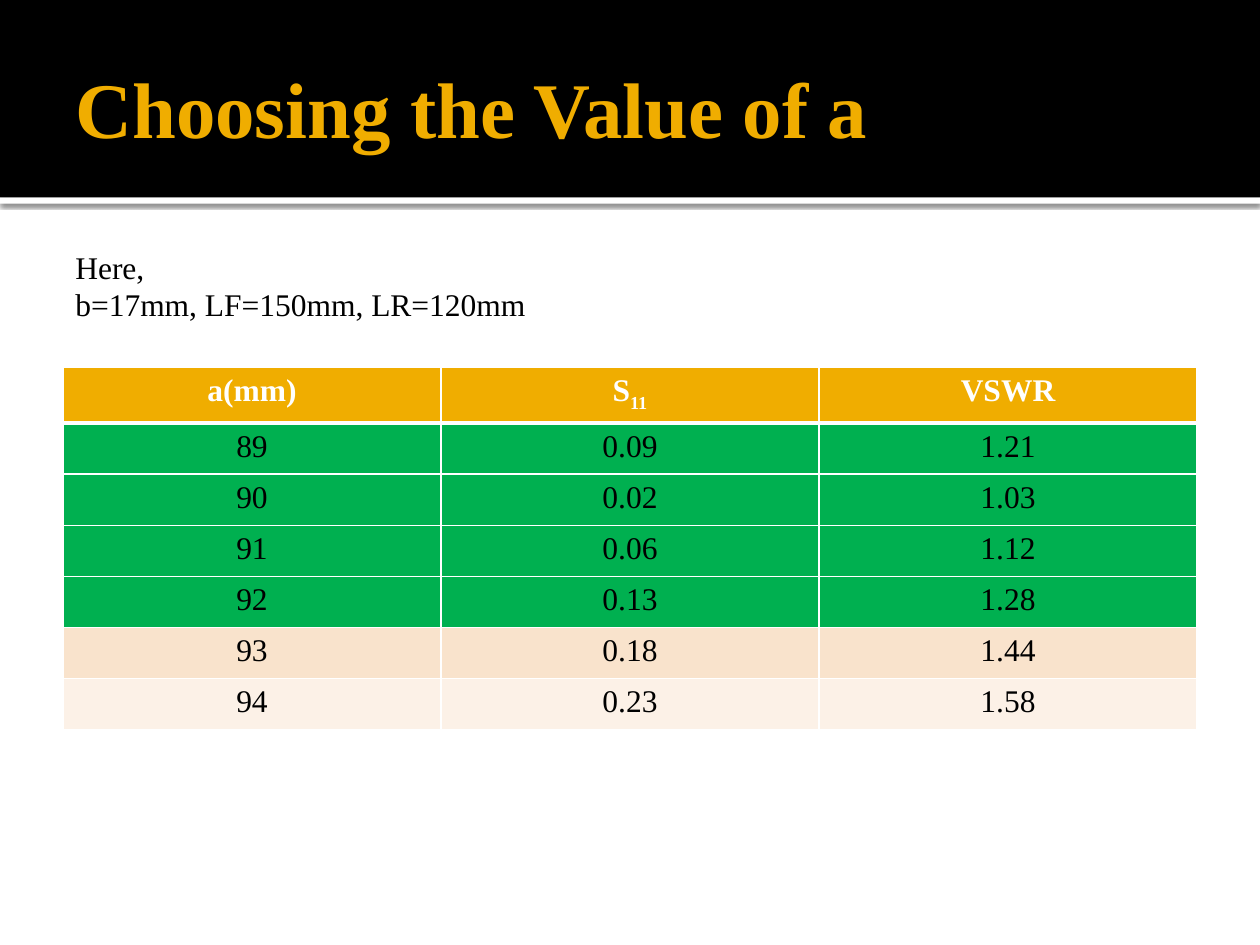
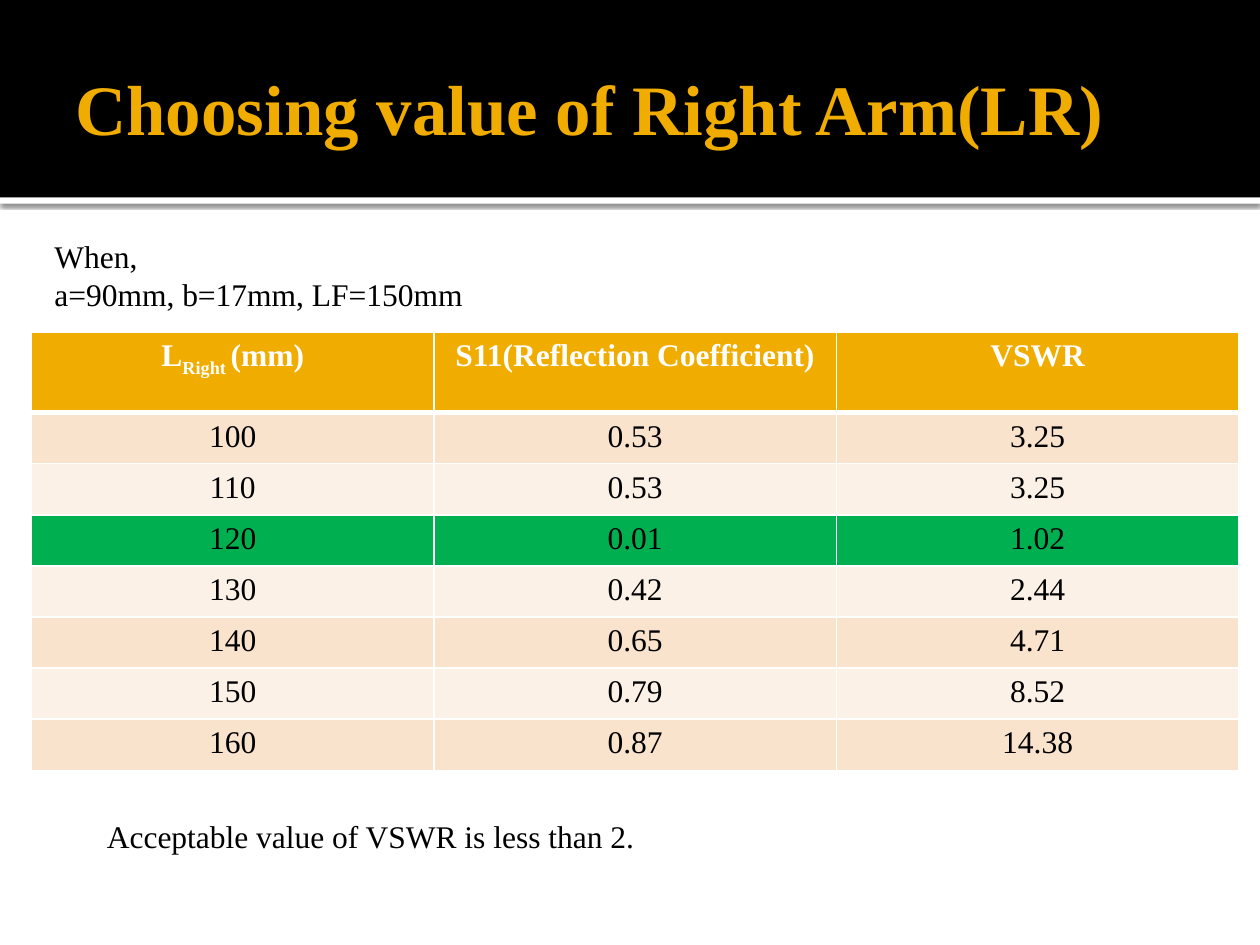
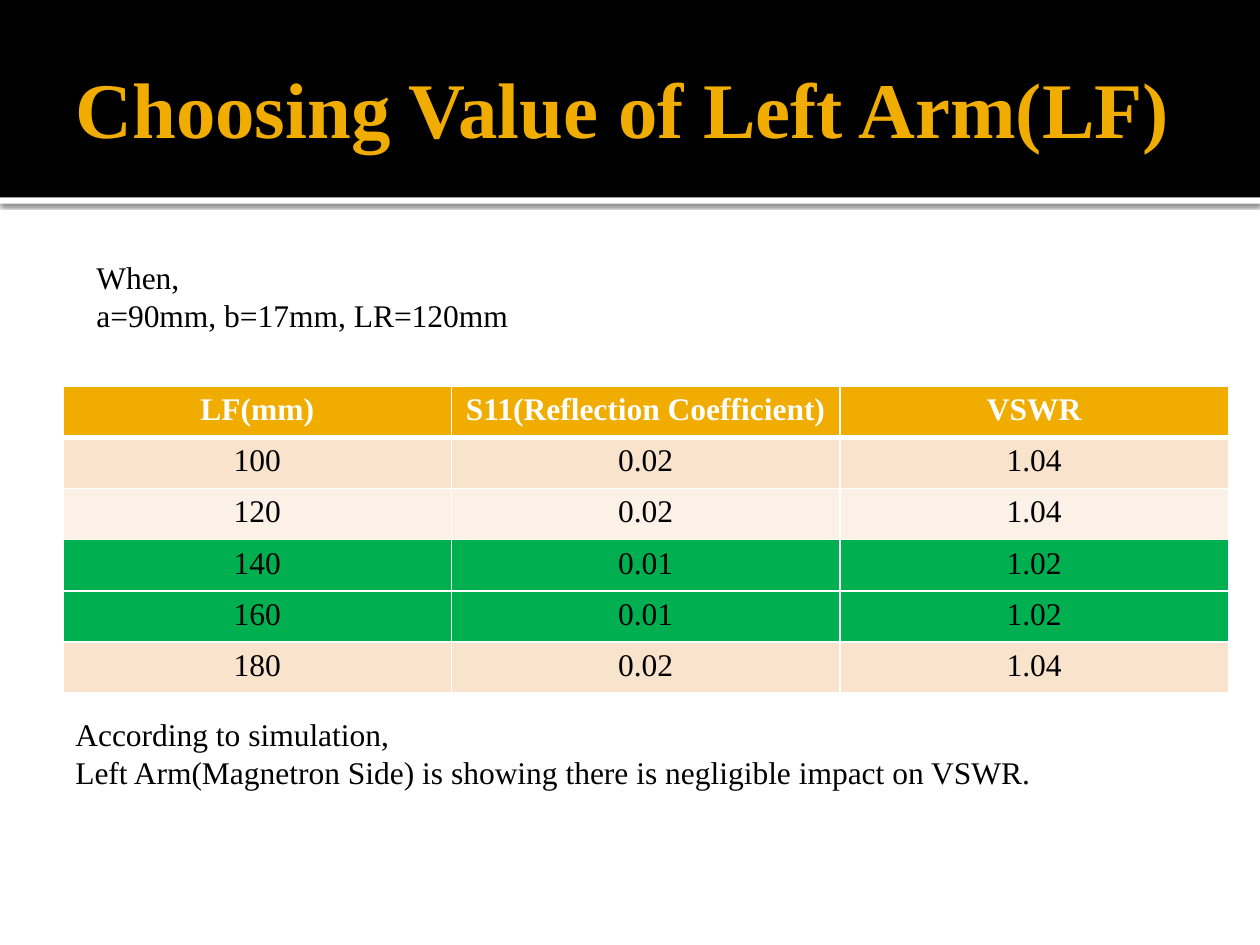
from lxml import etree
from pptx import Presentation
from pptx import util as u
from pptx.dml.color import RGBColor
from pptx.enum import shapes, text
from pptx.oxml import ns

BLACK = RGBColor(0x00, 0x00, 0x00)
WHITE = RGBColor(0xFF, 0xFF, 0xFF)
GOLD = RGBColor(0xF0, 0xAD, 0x00)
GREEN = RGBColor(0x00, 0xB0, 0x50)
PEACH = RGBColor(0xF9, 0xE3, 0xCC)
CREAM = RGBColor(0xFC, 0xF1, 0xE7)

FONT = "Times New Roman"
WIDE, HIGH = 120, 90  # slide size in grid units
ROW = 4.87            # height of a table row
BAND = 18.8           # height of the title band


def grid(num):
    """Length of a number of grid units, twelve to the inch."""
    return u.Pt(6 * num)


def style(run, size, color, bold=False):
    font = run.font
    font.name, font.size, font.bold = FONT, u.Pt(size), bold
    font.color.rgb = color


def add_xml(host, tag, **attrs):
    return etree.SubElement(host, ns.qn(tag), attrs)


# Shared frame: title band, white strip with its shadow, title
def add_bar(slide, top, high, color):
    bar = slide.shapes.add_shape(
        shapes.MSO_SHAPE.RECTANGLE, 0, grid(top), grid(WIDE), grid(high))
    bar.shadow.inherit = False
    bar.fill.solid()
    bar.fill.fore_color.rgb = color
    bar.line.fill.background()
    return bar


def add_shade(shape):
    effect = shape.element.spPr.find(ns.qn("a:effectLst"))
    shade = add_xml(effect, "a:outerShdw", blurRad=str(u.Pt(2.5)),
                    dist=str(u.Pt(0.8)), dir="5400000", rotWithShape="0")
    tone = add_xml(shade, "a:srgbClr", val=str(BLACK))
    add_xml(tone, "a:alpha", val="60000")


def add_text(slide, left, top, wide, high, lines, size=18, color=BLACK,
             bold=False):
    box = slide.shapes.add_textbox(*map(grid, (left, top, wide, high)))
    frame = box.text_frame
    frame.word_wrap = True
    frame.text = "\n".join(lines)
    for para in frame.paragraphs:
        for run in para.runs:
            style(run, size, color, bold)
    return frame


def add_page(deck, title, size=45):
    slide = deck.slides.add_slide(deck.slide_layouts[6])
    add_shade(add_bar(slide, BAND, 0.6, WHITE))
    add_bar(slide, 0, BAND, BLACK)
    frame = add_text(slide, 6, 2, 108, 16.4, [title], size, GOLD, True)
    frame.vertical_anchor = text.MSO_ANCHOR.MIDDLE
    frame.margin_right = u.Inches(0.05)
    return slide


# Tables
def add_edges(cell, top, bottom):
    props = cell._tc.get_or_add_tcPr()
    for side, width in zip("LRTB", (1, 1, top, bottom)):
        edge = add_xml(props, f"a:ln{side}", w=str(u.Pt(width)))
        fill = add_xml(edge, "a:solidFill")
        add_xml(fill, "a:srgbClr", val=str(WHITE))


def fill_cell(cell, parts, fill, color, bold, top=1, bottom=1):
    """Write the parts in turn; every second one is a subscript."""
    add_edges(cell, top, bottom)
    cell.fill.solid()
    cell.fill.fore_color.rgb = fill
    para = cell.text_frame.paragraphs[0]
    para.alignment = text.PP_ALIGN.CENTER
    for i, part in enumerate(parts):
        run = para.add_run()
        run.text = part
        style(run, 18, color, bold)
        if i % 2:
            run._r.get_or_add_rPr().set("baseline", "-25000")


def add_grid(slide, left, top, wide, heads, rows, good, head=ROW):
    """Draw a table; rows whose first value is in good are green."""
    count = len(heads)
    frame = slide.shapes.add_table(
        len(rows) + 1, count, grid(left), grid(top), grid(wide),
        grid(head + ROW * len(rows)))
    table = frame.table
    table.horz_banding = False
    for col in table.columns:
        col.width = grid(wide / count)
    for i, row in enumerate(table.rows):
        row.height = grid(ROW if i else head)
    for j, parts in enumerate(heads):
        fill_cell(table.cell(0, j), parts, GOLD, WHITE, True, bottom=3)
    for i, vals in enumerate(rows, 1):
        fill = GREEN if vals[0] in good else PEACH if i % 2 else CREAM
        for j, val in enumerate(vals):
            fill_cell(table.cell(i, j), [val], fill, BLACK, False,
                      top=3 if i == 1 else 1)


def main():
    deck = Presentation()
    deck.slide_width, deck.slide_height = grid(WIDE), grid(HIGH)
    ratio = ["S11(Reflection Coefficient)"]

    # Value of a
    slide = add_page(deck, "Choosing the Value of a")
    add_grid(slide, 6, 35, 108, [["a(mm)"], ["S", "11"], ["VSWR"]], [
        ("89", "0.09", "1.21"),
        ("90", "0.02", "1.03"),
        ("91", "0.06", "1.12"),
        ("92", "0.13", "1.28"),
        ("93", "0.18", "1.44"),
        ("94", "0.23", "1.58"),
    ], good=("89", "90", "91", "92"))
    add_text(slide, 6, 23, 108, 8.5,
             ["Here,", "b=17mm, LF=150mm, LR=120mm"])

    # Right arm
    slide = add_page(deck, "Choosing value of Right Arm(LR)", 40.5)
    add_grid(slide, 3, 31.6, 115,
             [["L", "Right ", "(mm)"], ratio, ["VSWR"]], [
                 ("100", "0.53", "3.25"),
                 ("110", "0.53", "3.25"),
                 ("120", "0.01", "1.02"),
                 ("130", "0.42", "2.44"),
                 ("140", "0.65", "4.71"),
                 ("150", "0.79", "8.52"),
                 ("160", "0.87", "14.38"),
             ], good=("120",), head=7.7)
    add_text(slide, 9, 77.2, 104, 4.8,
             ["Acceptable value of VSWR is less than 2."])
    add_text(slide, 4, 22, 86, 8.5, ["When,", "a=90mm, b=17mm, LF=150mm"])

    # Left arm
    slide = add_page(deck, "Choosing Value of Left Arm(LF)")
    add_grid(slide, 6, 36.8, 111, [["LF(mm)"], ratio, ["VSWR"]], [
        ("100", "0.02", "1.04"),
        ("120", "0.02", "1.04"),
        ("140", "0.01", "1.02"),
        ("160", "0.01", "1.02"),
        ("180", "0.02", "1.04"),
    ], good=("140", "160"))
    add_text(slide, 6, 67.5, 108, 8.5, [
        "According to simulation,",
        "Left Arm(Magnetron Side) is showing there is negligible impact "
        "on VSWR."])
    add_text(slide, 8, 24, 95, 8.5, ["When,", "a=90mm, b=17mm, LR=120mm"])

    deck.save("out.pptx")


if __name__ == "__main__":
    main()
